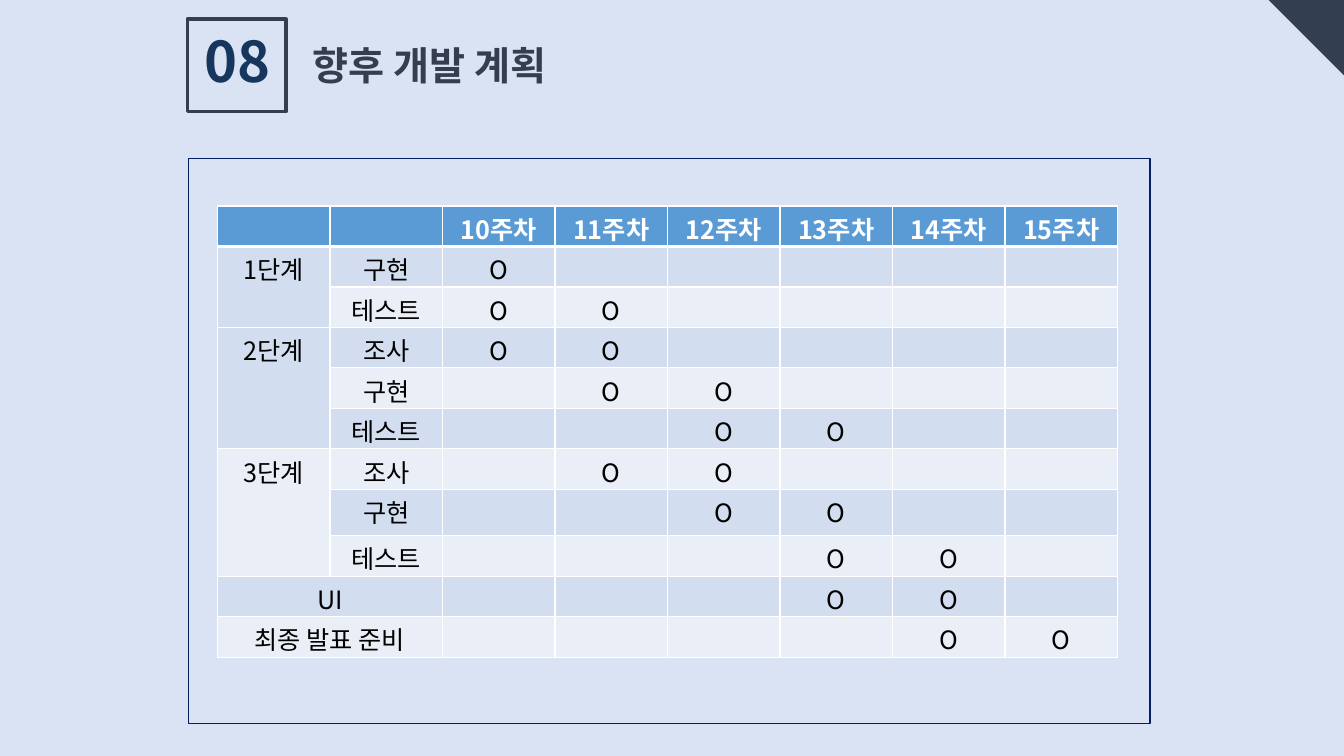
from dataclasses import dataclass

from lxml import etree
from pptx import Presentation
from pptx.dml.color import RGBColor
from pptx.enum.shapes import MSO_SHAPE
from pptx.enum.text import MSO_ANCHOR, PP_ALIGN
from pptx.oxml.ns import qn
from pptx.util import Cm, Pt

RECTANGLE = MSO_SHAPE.RECTANGLE
RIGHT_TRIANGLE = MSO_SHAPE.RIGHT_TRIANGLE
MIDDLE = MSO_ANCHOR.MIDDLE
LEFT = PP_ALIGN.LEFT
CENTER = PP_ALIGN.CENTER
TITLE_ONLY_LAYOUT = 5


@dataclass(frozen=True)
class Theme:
    font: str = "Noto Sans CJK KR"
    background: str = "DAE3F3"
    navy: str = "002060"
    number: str = "17365D"
    slate: str = "333F50"
    header: str = "5B9BD5"
    dark_band: str = "D2DEEF"
    light_band: str = "EAEFF7"
    white: str = "FFFFFF"
    black: str = "000000"
    number_size: int = 40
    title_size: int = 28
    table_size: int = 18


THEME = Theme()
WEEKS = range(10, 16)
PLAN = [
    ("1단계", "구현", (10,)),
    ("", "테스트", (10, 11)),
    ("2단계", "조사", (10, 11)),
    ("", "구현", (11, 12)),
    ("", "테스트", (12, 13)),
    ("3단계", "조사", (11, 12)),
    ("", "구현", (12, 13)),
    ("", "테스트", (13, 14)),
    ("UI", "", (13, 14)),
    ("최종 발표 준비", "", (14, 15)),
]
MERGES = [(1, 0, 2, 0), (3, 0, 5, 0), (6, 0, 8, 0), (9, 0, 9, 1), (10, 0, 10, 1)]
TABLE_WIDTH = 22.68
ROW_HEIGHT = 1.02
TALL_ROW = 7
TALL_ROW_HEIGHT = 1.17


def color(value):
    return RGBColor.from_string(value)


def write_text(text_frame, text, size, text_color, bold=False, alignment=LEFT):
    text_frame.text = text
    paragraph = text_frame.paragraphs[0]
    paragraph.alignment = alignment
    for run in paragraph.runs:
        run.font.size = Pt(size)
        run.font.bold = bold
        run.font.color.rgb = color(text_color)
        run.font.name = THEME.font
        east_asian = etree.SubElement(run.font._element, qn("a:ea"))
        east_asian.set("typeface", THEME.font)


def add_outline(slide, left, top, width, height, line_color, line_width):
    shape = slide.shapes.add_shape(RECTANGLE, Cm(left), Cm(top), Cm(width), Cm(height))
    shape.shadow.inherit = False
    shape.fill.background()
    shape.line.color.rgb = color(line_color)
    shape.line.width = Pt(line_width)


def add_corner(slide, slide_width):
    side = Cm(1.9)
    shape = slide.shapes.add_shape(RIGHT_TRIANGLE, slide_width - side, 0, side, side)
    shape.rotation = 180
    shape.shadow.inherit = False
    shape.fill.solid()
    shape.fill.fore_color.rgb = color(THEME.slate)
    shape.line.fill.background()


def center_vertically(text_frame, bottom):
    text_frame.word_wrap = True
    text_frame.vertical_anchor = MIDDLE
    text_frame.margin_top = 0
    text_frame.margin_bottom = Cm(bottom)


def add_heading(slide):
    number = slide.shapes.add_textbox(Cm(4.9), Cm(0.64), Cm(2.51), Cm(1.96))
    center_vertically(number.text_frame, 0.2)
    write_text(number.text_frame, "08", THEME.number_size, THEME.number, bold=True)

    title = slide.shapes.title
    title.left, title.top, title.width, title.height = Cm(7.62), Cm(0.97), Cm(9.09), Cm(1.45)
    center_vertically(title.text_frame, 0.13)
    write_text(title.text_frame, "향후 개발 계획", THEME.title_size, THEME.slate, bold=True)


def set_borders(cell, bottom_width):
    properties = cell._tc.get_or_add_tcPr()
    widths = {"a:lnL": 1, "a:lnR": 1, "a:lnT": 1, "a:lnB": bottom_width}
    for index, (tag, width) in enumerate(widths.items()):
        line = etree.Element(qn(tag), w=str(Pt(width)))
        fill = etree.SubElement(line, qn("a:solidFill"))
        etree.SubElement(fill, qn("a:srgbClr"), val=THEME.white)
        properties.insert(index, line)


def format_cell(cell, text, row_index):
    is_header = row_index == 0
    band = THEME.dark_band if row_index % 2 else THEME.light_band
    cell.margin_top = Cm(0.1)
    cell.margin_bottom = 0
    cell.fill.solid()
    cell.fill.fore_color.rgb = color(THEME.header if is_header else band)
    set_borders(cell, 3 if is_header else 1)
    if text:
        text_color = THEME.white if is_header else THEME.black
        write_text(cell.text_frame, text, THEME.table_size, text_color, is_header, CENTER)


def add_schedule(slide):
    rows = [["", ""] + [f"{week}주차" for week in WEEKS]]
    for stage, task, active_weeks in PLAN:
        marks = ["O" if week in active_weeks else "" for week in WEEKS]
        rows.append([stage, task] + marks)

    column_count = len(rows[0])
    frame = slide.shapes.add_table(
        len(rows), column_count, Cm(5.48), Cm(5.19), Cm(TABLE_WIDTH), Cm(ROW_HEIGHT * len(rows))
    )
    table = frame.table
    for column in table.columns:
        column.width = Cm(TABLE_WIDTH / column_count)
    for row_index, texts in enumerate(rows):
        height = TALL_ROW_HEIGHT if row_index == TALL_ROW else ROW_HEIGHT
        table.rows[row_index].height = Cm(height)
        for column_index, text in enumerate(texts):
            format_cell(table.cell(row_index, column_index), text, row_index)
    for top, left, bottom, right in MERGES:
        table.cell(top, left).merge(table.cell(bottom, right))


def main():
    presentation = Presentation()
    presentation.slide_width = Cm(33.87)
    presentation.slide_height = Cm(19.05)
    slide = presentation.slides.add_slide(presentation.slide_layouts[TITLE_ONLY_LAYOUT])
    slide.background.fill.solid()
    slide.background.fill.fore_color.rgb = color(THEME.background)

    add_outline(slide, 4.75, 3.99, 24.23, 14.25, THEME.navy, 1)
    add_heading(slide)
    add_outline(slide, 4.72, 0.48, 2.49, 2.34, THEME.slate, 2.25)
    add_corner(slide, presentation.slide_width)
    add_schedule(slide)
    presentation.save("out.pptx")


if __name__ == "__main__":
    main()
